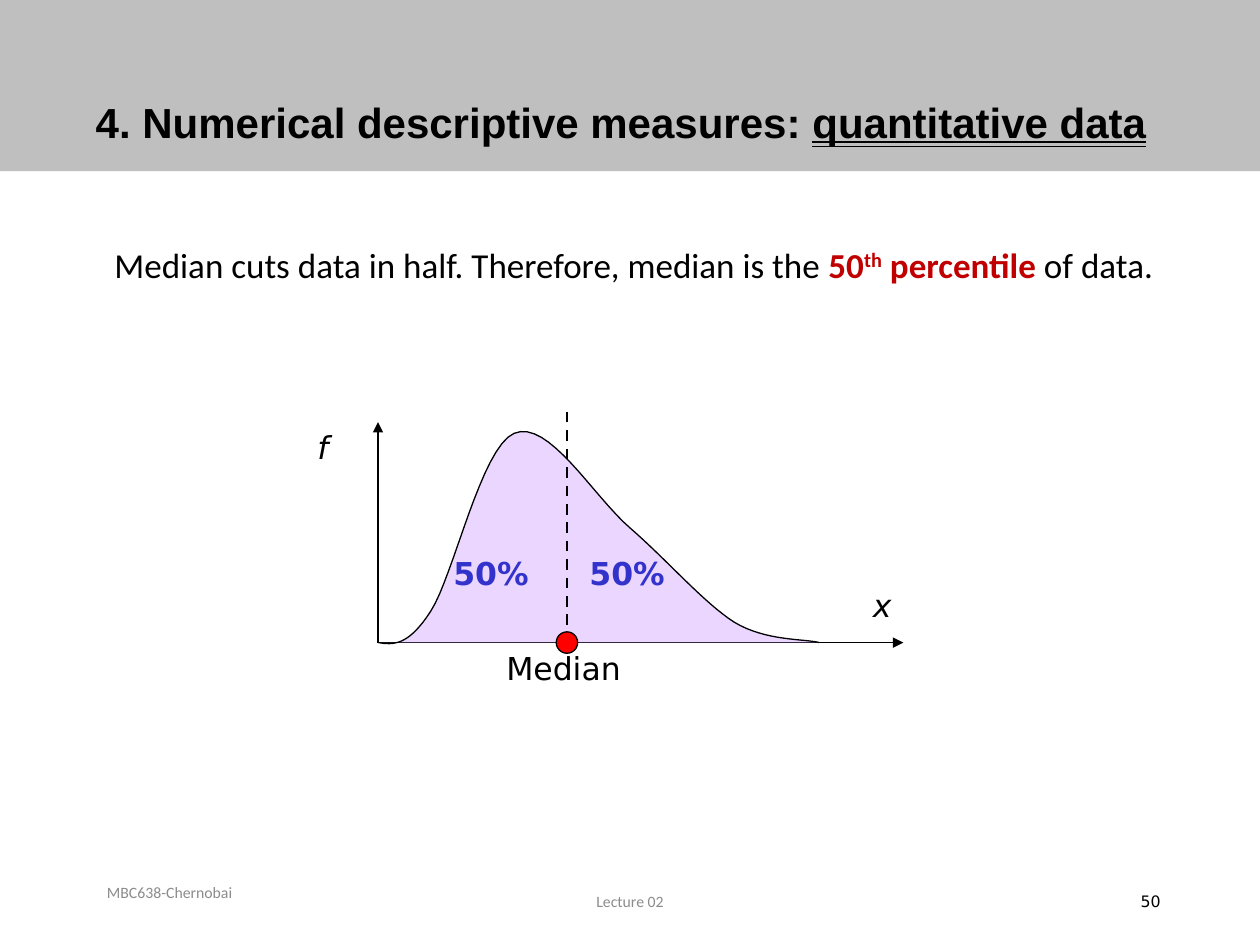
from lxml import etree
from pptx import Presentation, util as u
from pptx.dml.color import RGBColor
from pptx.enum import dml, shapes, text
from pptx.oxml.ns import qn

Inches = u.Inches
BLACK, GRAY, BAND, RED, PERCENT = "000000", "8C8C8C", "BFBFBF", "C00000", "3333CC"
LEFT, CENTER, RIGHT = text.PP_ALIGN.LEFT, text.PP_ALIGN.CENTER, text.PP_ALIGN.RIGHT
TOP, MIDDLE = text.MSO_ANCHOR.TOP, text.MSO_ANCHOR.MIDDLE

# Density curve: start point, then cubic Bezier segments, in inches from the axis origin
CURVE_START = (0, 0)
CURVE_SEGMENTS = [
    ((0.12, 0.02), (0.24, 0.03), (0.42, -0.25)),
    ((0.6, -0.53), (0.82, -1.55), (1.08, -1.66)),
    ((1.35, -1.78), (1.71, -1.16), (2, -0.91)),
    ((2.29, -0.66), (2.58, -0.32), (2.83, -0.16)),
    ((3.08, -0.01), (3.39, -0.03), (3.5, 0)),
]


def rgb(hex_color):
    return RGBColor.from_string(hex_color)


def write(frame, runs, size=18, font="DejaVu Sans", color=BLACK, bold=False,
          italic=False, align=LEFT, anchor=TOP, spacing=None):
    """Fill a frame with one paragraph; runs are (text, overrides) pairs or a string."""
    frame.word_wrap = True
    frame.auto_size = text.MSO_AUTO_SIZE.NONE
    frame.vertical_anchor = anchor
    paragraph = frame.paragraphs[0]
    paragraph.alignment = align
    paragraph.line_spacing = spacing
    for words, change in [(runs, {})] if isinstance(runs, str) else runs:
        run = paragraph.add_run()
        run.text = words
        run.font.name = font
        run.font.size = u.Pt(size)
        run.font.bold = change.get("bold", bold)
        run.font.italic = italic
        run.font.color.rgb = rgb(change.get("color", color))
        if "underline" in change:
            run.font.underline = change["underline"]
        if "baseline" in change:
            run.font._element.set("baseline", str(change["baseline"]))
    return paragraph


def label(slide, box, runs, **style):
    frame = slide.shapes.add_textbox(*map(Inches, box)).text_frame
    return write(frame, runs, **style)


def paint(shape, fill, line=None, alpha=None):
    shape.shadow.inherit = False
    shape.fill.solid()
    shape.fill.fore_color.rgb = rgb(fill)
    if alpha:
        color = shape.fill._xPr.find(qn("a:solidFill"))[0]
        etree.SubElement(color, qn("a:alpha"), val=str(alpha * 1000))
    if line:
        shape.line.color.rgb = rgb(line)
        shape.line.width = u.Pt(0.75)
    else:
        shape.line.fill.background()


def rule(slide, start, end, width=0.75, arrow=False, dash=None):
    line = slide.shapes.add_connector(
        shapes.MSO_CONNECTOR.STRAIGHT, *map(Inches, start + end))
    line.line.color.rgb = rgb(BLACK)
    line.line.width = u.Pt(width)
    if dash:
        line.line.dash_style = dash
    if arrow:
        etree.SubElement(line.line._get_or_add_ln(), qn("a:tailEnd"), type="triangle")
    etree.SubElement(line._element.spPr, qn("a:effectLst"))


def curve_points(steps=16):
    """Sample the Bezier segments after the start point."""
    start = CURVE_START
    for segment in CURVE_SEGMENTS:
        for step in range(1, steps + 1):
            t = step / steps
            weights = ((1 - t) ** 3, 3 * t * (1 - t) ** 2, 3 * t * t * (1 - t), t ** 3)
            yield tuple(sum(w * p[axis] for w, p in zip(weights, (start, *segment)))
                        for axis in (0, 1))
        start = segment[-1]


def title_band(slide, left, top, width, height):
    band = slide.shapes.add_shape(shapes.MSO_SHAPE.RECTANGLE,
                                  *map(Inches, (left, top, width, height)))
    paint(band, BAND)
    slide.shapes._spTree.insert(2, band._element)  # behind the title
    title = slide.shapes.title
    title.left, title.top = Inches(left + 0.66), Inches(top + 0.27)
    title.width, title.height = Inches(8.62), Inches(1.45)
    write(title.text_frame,
          [("4. Numerical descriptive measures: ", {}),
           ("quantitative data", {"underline": text.MSO_UNDERLINE.DOUBLE_LINE})],
          size=24, font="Arial", bold=True, anchor=MIDDLE, spacing=0.9)


def statement(slide, box):
    strong = {"color": RED, "bold": True}
    paragraph = label(
        slide, box,
        [("Median cuts data in half. Therefore, median is the ", {}),
         ("50", strong), ("th", {**strong, "baseline": 30000}),
         (" percentile ", strong), ("of data.", {})],
        size=20, font="Calibri", spacing=0.9)
    properties = paragraph._p.get_or_add_pPr()
    properties.set("marL", str(Inches(0.19)))
    properties.set("indent", "0")


def density_plot(slide, left, base):
    """Skewed density split at its median; (left, base) is the axis origin."""
    median = left + 1.5
    rule(slide, (left, base), (left, base - 1.75), arrow=True)
    rule(slide, (left, base), (left + 4.17, base), arrow=True)
    label(slide, (left + 0.92, base, 2, 0.4), "Median")

    builder = slide.shapes.build_freeform(Inches(left), Inches(base))
    builder.add_line_segments(
        [(Inches(left + x), Inches(base + y)) for x, y in curve_points()], close=False)
    paint(builder.convert_to_shape(), "CC99FF", BLACK, alpha=40)

    rule(slide, (median, base - 1.83), (median, base), width=1.5,
         dash=dml.MSO_LINE.DASH)
    for offset in (0.5, 1.58):
        label(slide, (left + offset, base - 0.75, 1.17, 0.4), "50%",
              color=PERCENT, bold=True)
    for name, x, y in (("x", 3.83, -0.5), ("f", -0.58, -1.75)):
        label(slide, (left + x, base + y, 0.5, 0.4), name, italic=True)

    size = 0.17
    dot = slide.shapes.add_shape(
        shapes.MSO_SHAPE.OVAL, Inches(median - size / 2), Inches(base - size / 2),
        Inches(size), Inches(size))
    paint(dot, "FF0000", BLACK)


def footer(slide, top):
    style = {"size": 9, "anchor": MIDDLE}
    label(slide, (0.75, top - 0.12, 2.08, 0.5), "MBC638-Chernobai",
          font="Calibri", color=GRAY, **style)
    label(slide, (3.31, top, 3.38, 0.4), "Lecture 02",
          font="Calibri", color=GRAY, align=CENTER, **style)
    label(slide, (7.06, top, 2.25, 0.4), "50", align=RIGHT, **style)


def main():
    deck = Presentation()
    deck.slide_width, deck.slide_height = Inches(10), Inches(7.5)
    slide = deck.slides.add_slide(deck.slide_layouts.get_by_name("Title Only"))
    title_band(slide, 0, 0, 10, 1.36)
    statement(slide, (0.62, 1.92, 9.13, 3.69))
    density_plot(slide, 3, 5.1)
    footer(slide, 6.95)
    deck.save("out.pptx")


if __name__ == "__main__":
    main()
